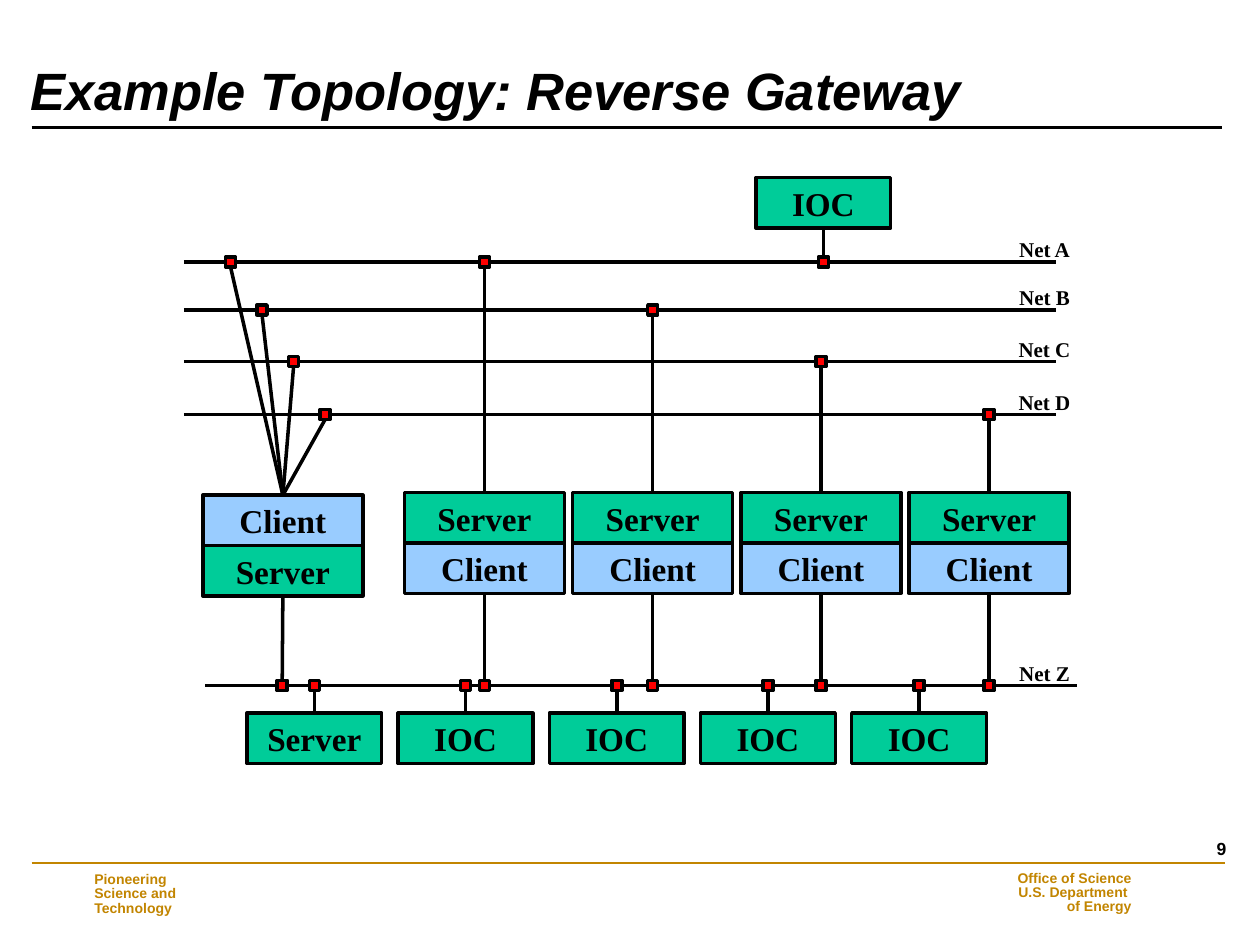
"""Build the reverse gateway network topology slide."""
from dataclasses import dataclass

import pptx
import pptx.dml.color
import pptx.enum.shapes
import pptx.enum.text
import pptx.oxml
import pptx.oxml.ns
import pptx.util

Inches = pptx.util.Inches
ALIGN = pptx.enum.text.PP_ALIGN
ANCHOR = pptx.enum.text.MSO_ANCHOR
TOP, BOTTOM = 0, 2


@dataclass(frozen=True)
class Theme:
    black: str = "000000"
    gold: str = "C28500"
    server: str = "00CC99"
    client: str = "99CCFF"
    node: str = "FF0000"
    heading_font: str = "Arial"
    diagram_font: str = "Times New Roman"
    title_size: int = 30
    box_size: int = 19
    net_size: int = 12
    number_size: int = 10
    footer_size: int = 8
    line_width: int = 2


THEME = Theme()
NETS = {"Net A": 2.08, "Net B": 2.46, "Net C": 2.87, "Net D": 3.29, "Net Z": 5.44}
BOX_HEIGHT = 0.4
NODE_SIZE = 0.08


def rgb(color):
    return pptx.dml.color.RGBColor.from_string(color)


def write_text(shape, text, *, size, font=THEME.diagram_font, color=THEME.black,
               italic=False, align=ALIGN.CENTER, anchor=ANCHOR.MIDDLE,
               margins=(0, 0), wrap=True, spacing=1.0):
    frame = shape.text_frame
    frame.text = text
    frame.word_wrap = wrap
    frame.vertical_anchor = anchor
    frame.margin_left = frame.margin_right = Inches(margins[0])
    frame.margin_top = frame.margin_bottom = Inches(margins[1])
    for paragraph in frame.paragraphs:
        paragraph.alignment = align
        paragraph.line_spacing = spacing
        for run in paragraph.runs:
            run.font.name = font
            run.font.size = pptx.util.Pt(size)
            run.font.bold = True
            run.font.italic = italic
            run.font.color.rgb = rgb(color)


def add_text(slide, text, left, top, width, height, **text_format):
    shape = slide.shapes.add_textbox(*map(Inches, (left, top, width, height)))
    write_text(shape, text, **text_format)


def add_rectangle(slide, left, top, width, height, fill):
    shape = slide.shapes.add_shape(pptx.enum.shapes.MSO_SHAPE.RECTANGLE,
                                   *map(Inches, (left, top, width, height)))
    shape.shadow.inherit = False
    shape.fill.solid()
    shape.fill.fore_color.rgb = rgb(fill)
    shape.line.color.rgb = rgb(THEME.black)
    shape.line.width = pptx.util.Pt(THEME.line_width)
    return shape


def add_box(slide, text, left, top, width=1.07):
    fill = THEME.client if text == "Client" else THEME.server
    shape = add_rectangle(slide, left, top, width, BOX_HEIGHT, fill)
    write_text(shape, text, size=THEME.box_size, margins=(0.03, 0.02), wrap=False)
    return shape


def add_stack(slide, labels, left, top):
    return [add_box(slide, label, left, top + index * BOX_HEIGHT, 1.27)
            for index, label in enumerate(labels)]


def add_node(slide, net, center):
    return add_rectangle(slide, center - NODE_SIZE / 2, NETS[net] - NODE_SIZE / 2,
                         NODE_SIZE, NODE_SIZE, THEME.node)


def add_line(slide, left, right, top, bottom, color=THEME.black, width=THEME.line_width):
    line = slide.shapes.add_connector(pptx.enum.shapes.MSO_CONNECTOR.STRAIGHT,
                                      *map(Inches, (left, top, right, bottom)))
    line.line.color.rgb = rgb(color)
    line.line.width = pptx.util.Pt(width)
    properties = line._element.spPr
    properties.append(pptx.oxml.parse_xml(
        f"<a:effectLst {pptx.oxml.ns.nsdecls('a')}/>"))
    return line


def join(slide, upper, lower):
    line = add_line(slide, 0, 0, 0, 0)
    line.begin_connect(upper, BOTTOM)
    line.end_connect(lower, TOP)


def add_frame(slide):
    title = slide.shapes.title
    title.left, title.top, title.width, title.height = map(Inches, (0.14, 0.52, 9.58, 0.5))
    write_text(title, "Example Topology: Reverse Gateway", size=THEME.title_size,
               font=THEME.heading_font, italic=True, align=ALIGN.LEFT,
               anchor=ANCHOR.BOTTOM, margins=(0.1, 0.05), spacing=0.9)
    title.text_frame.margin_top = 0
    add_line(slide, 0.25, 9.7, 1.01, 1.01, width=1.5)
    add_line(slide, 0.25, 9.72, 6.85, 6.85, color=THEME.gold, width=1)
    footer = dict(size=THEME.footer_size, font=THEME.heading_font, color=THEME.gold,
                  margins=(0.1, 0.05), spacing=0.85)
    add_text(slide, "Pioneering \nScience and\nTechnology", 0.65, 6.88, 1.46, 0.44,
             align=ALIGN.LEFT, **footer)
    add_text(slide, "Office of Science\n U.S. Department \nof Energy", 7.84, 6.87, 1.24, 0.44,
             align=ALIGN.RIGHT, **footer)
    add_text(slide, "9", 9.44, 6.6, 0.39, 0.38, size=THEME.number_size,
             font=THEME.heading_font, align=ALIGN.RIGHT, anchor=ANCHOR.TOP,
             margins=(0.1, 0.05))


def add_nets(slide):
    for name, height in NETS.items():
        left = 1.63 if name == "Net Z" else 1.46
        add_line(slide, left, left + 6.92, height, height)
        add_text(slide, name, 8.04, height - 0.2, 0.5, 0.2, size=THEME.net_size,
                 anchor=ANCHOR.TOP)


def add_reverse_gateway(slide):
    client, server = add_stack(slide, ("Client", "Server"), 1.61, 3.93)
    for index, net in enumerate(("Net A", "Net B", "Net C", "Net D")):
        join(slide, add_node(slide, net, 1.83 + 0.25 * index), client)
    join(slide, server, add_node(slide, "Net Z", 2.24))


def add_gateways(slide):
    for index, net in enumerate(("Net A", "Net B", "Net C", "Net D")):
        left = 3.21 + 1.335 * index
        server, client = add_stack(slide, ("Server", "Client"), left, 3.91)
        center = left + 0.635
        join(slide, add_node(slide, net, center), server)
        join(slide, client, add_node(slide, "Net Z", center))


def add_hosts(slide):
    for index, label in enumerate(("Server", "IOC", "IOC", "IOC", "IOC")):
        left = 1.96 + 1.2 * index
        box = add_box(slide, label, left, 5.66)
        join(slide, add_node(slide, "Net Z", left + 0.535), box)
    box = add_box(slide, "IOC", 6, 1.41)
    join(slide, box, add_node(slide, "Net A", 6.535))


def main():
    presentation = pptx.Presentation()
    presentation.slide_width = Inches(10)
    presentation.slide_height = Inches(7.5)
    slide = presentation.slides.add_slide(presentation.slide_layouts[5])
    add_frame(slide)
    add_nets(slide)
    add_reverse_gateway(slide)
    add_gateways(slide)
    add_hosts(slide)
    presentation.save("out.pptx")


if __name__ == "__main__":
    main()
